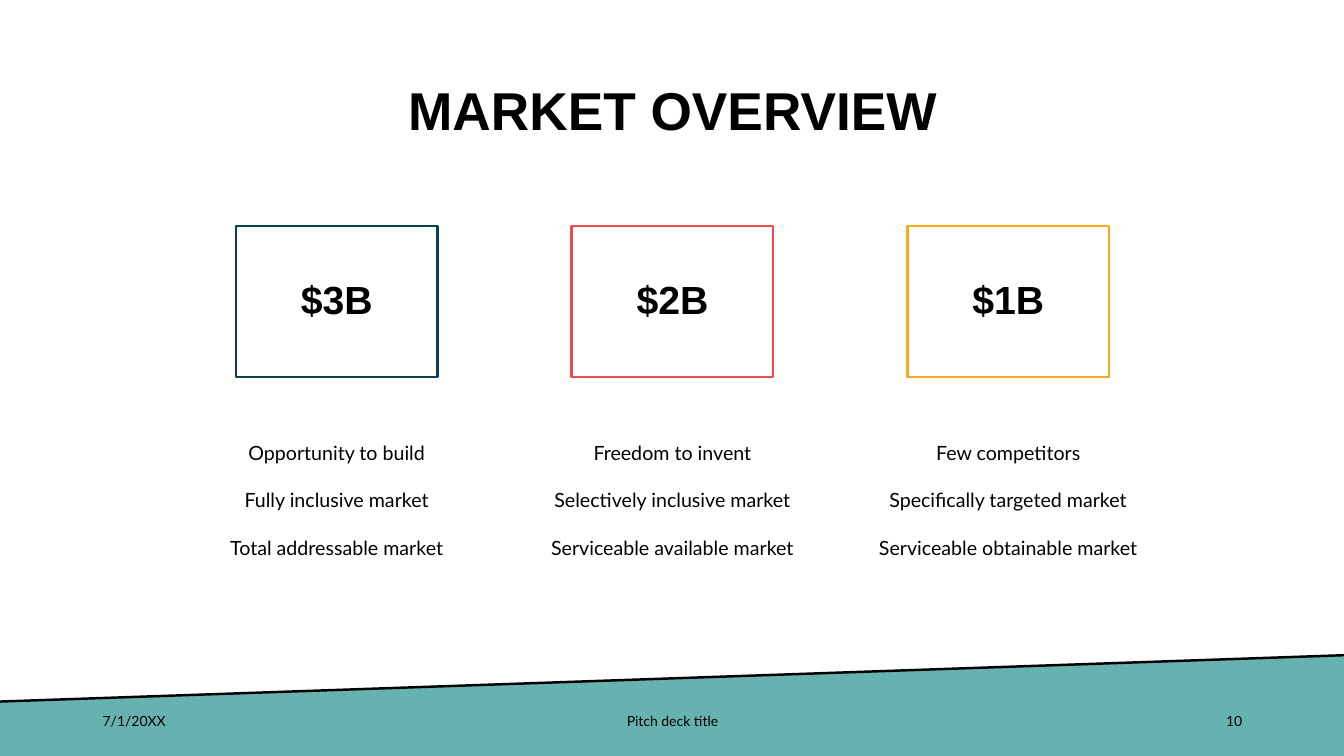
from dataclasses import dataclass

from lxml import etree
from pptx import Presentation
from pptx.dml.color import RGBColor
from pptx.enum import shapes, text
from pptx.oxml import ns
from pptx.util import Inches, Pt


@dataclass(frozen=True)
class Theme:
    ink: str = "000000"
    teal: str = "66B2B0"
    navy: str = "0A4054"
    red: str = "F2494C"
    gold: str = "F9AA19"
    head: str = "Arial"
    body: str = "Lato"
    title: int = 38
    value: int = 28
    point: int = 14
    foot: int = 10
    line: float = 1.75


THEME = Theme()
WIDTH, HEIGHT = 13.33, 7.5
LEFT, RIGHT = text.PP_ALIGN.LEFT, text.PP_ALIGN.RIGHT
CENTER = text.PP_ALIGN.CENTER
MIDDLE, TOP = text.MSO_ANCHOR.MIDDLE, text.MSO_ANCHOR.TOP

MARKETS = [
    ("$3B", THEME.navy, ["Opportunity to build", "Fully inclusive market",
                         "Total addressable market"]),
    ("$2B", THEME.red, ["Freedom to invent", "Selectively inclusive market",
                        "Serviceable available market"]),
    ("$1B", THEME.gold, ["Few competitors", "Specifically targeted market",
                         "Serviceable obtainable market"]),
]
FOOTER = [
    ("7/1/20XX", 0.92, 3, LEFT),
    ("Pitch deck title", 4.42, 4.5, CENTER),
    ("10", 9.42, 3, RIGHT),
]


def color(code):
    return RGBColor.from_string(code)


def write(shape, lines, font, size, align=CENTER, anchor=MIDDLE,
          bold=False, pitch=None, gap=0):
    """Fill a shape with one paragraph per line; pitch is the line spacing."""
    frame = shape.text_frame
    frame.word_wrap = True
    frame.vertical_anchor = anchor
    frame.text = "\n".join(lines)
    for index, para in enumerate(frame.paragraphs):
        para.alignment = align
        para.line_spacing = pitch
        para.space_before = Pt(gap if index else 0)
        for run in para.runs:
            run.font.name = font
            run.font.size = Pt(size)
            run.font.bold = bold
            run.font.color.rgb = color(THEME.ink)


def add_band(slide):
    """Draw the slanted band at the foot and the line along its top edge."""
    low, high = 6.96, 6.5
    form = slide.shapes.build_freeform(0, Inches(low))
    form.add_line_segments([
        (Inches(WIDTH), Inches(high)),
        (Inches(WIDTH), Inches(HEIGHT)),
        (0, Inches(HEIGHT)),
    ])
    band = form.convert_to_shape()
    band.shadow.inherit = False
    band.fill.solid()
    band.fill.fore_color.rgb = color(THEME.teal)
    band.line.fill.background()

    edge = slide.shapes.add_connector(
        shapes.MSO_CONNECTOR.STRAIGHT,
        Inches(WIDTH), Inches(high), 0, Inches(low))
    edge.line.color.rgb = color(THEME.ink)
    edge.line.width = Pt(THEME.line)
    props = edge.element.find(ns.qn("p:spPr"))
    etree.SubElement(props, ns.qn("a:effectLst"))


def add_title(slide, words):
    title = slide.shapes.title
    title.left, title.top = Inches(0.92), Inches(0.4)
    title.width, title.height = Inches(11.5), Inches(1.45)
    write(title, [words], THEME.head, THEME.title, bold=True, pitch=0.9)


def add_value(slide, middle, value, tint):
    width = 2
    box = slide.shapes.add_shape(
        shapes.MSO_SHAPE.RECTANGLE, Inches(middle - width / 2), Inches(2.24),
        Inches(width), Inches(1.5))
    box.shadow.inherit = False
    box.fill.background()
    box.line.color.rgb = color(tint)
    box.line.width = Pt(THEME.line)
    write(box, [value], THEME.head, THEME.value, bold=True, pitch=0.9)


def add_label(slide, left, top, width, height, lines, size, **style):
    box = slide.shapes.add_textbox(
        Inches(left), Inches(top), Inches(width), Inches(height))
    write(box, lines, THEME.body, size, **style)


def main():
    deck = Presentation()
    deck.slide_width, deck.slide_height = Inches(WIDTH), Inches(HEIGHT)
    slide = deck.slides.add_slide(deck.slide_layouts.get_by_name("Title Only"))

    add_band(slide)
    add_title(slide, "MARKET OVERVIEW")

    first, step, width = 3.34, 3.33, 3
    for index, (value, tint, points) in enumerate(MARKETS):
        middle = first + index * step
        add_value(slide, middle, value, tint)
        add_label(slide, middle - width / 2, 4.22, width, 1.75, points,
                  THEME.point, anchor=TOP, pitch=Pt(24), gap=10)

    for words, left, span, align in FOOTER:
        add_label(slide, left, 6.95, span, 0.4, [words], THEME.foot,
                  align=align)

    deck.save("out.pptx")


if __name__ == "__main__":
    main()
